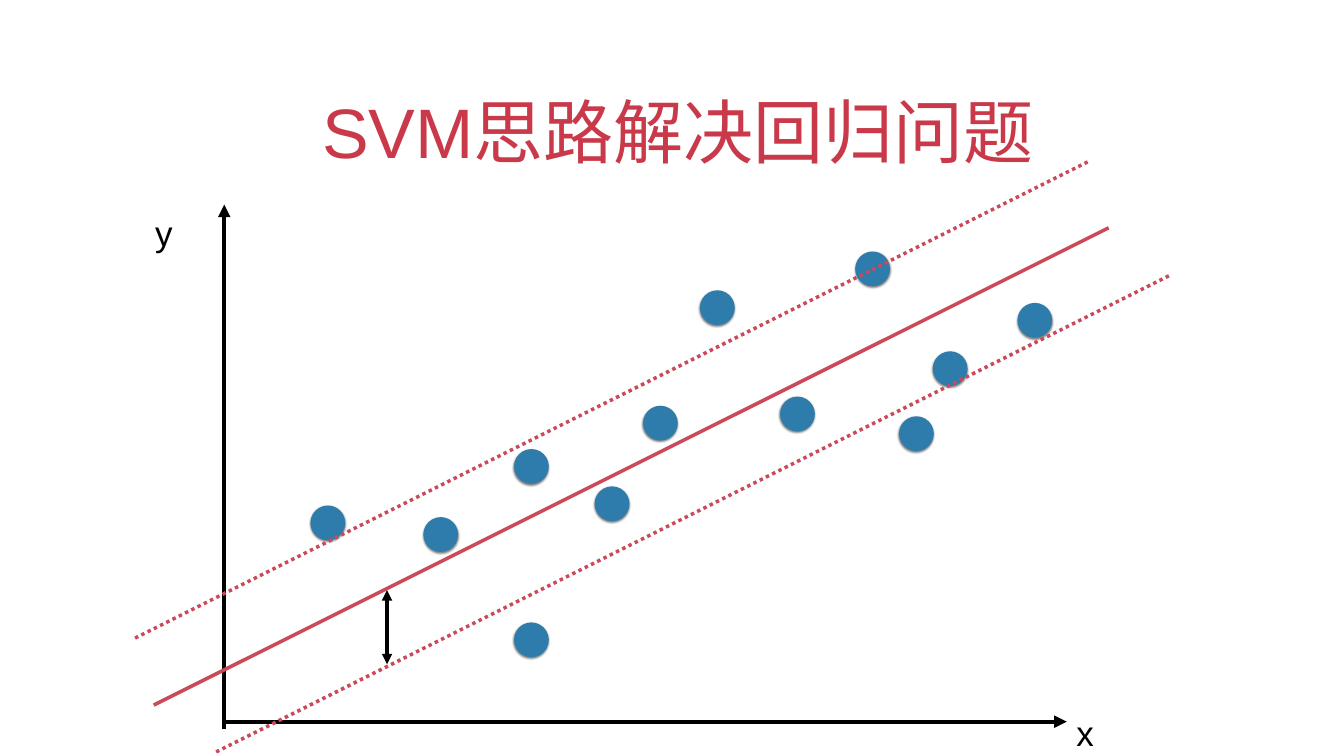
from pptx import Presentation
from pptx.dml.color import RGBColor
from pptx.enum.dml import MSO_LINE
from pptx.enum.shapes import MSO_CONNECTOR, MSO_SHAPE
from pptx.enum.text import MSO_ANCHOR, MSO_AUTO_SIZE, PP_ALIGN
from pptx.oxml import parse_xml
from pptx.oxml.ns import nsdecls
from pptx.util import Inches, Pt

STRAIGHT = MSO_CONNECTOR.STRAIGHT
OVAL = MSO_SHAPE.OVAL
DOTTED = MSO_LINE.ROUND_DOT
MIDDLE, BOTTOM = MSO_ANCHOR.MIDDLE, MSO_ANCHOR.BOTTOM
NO_FIT, GROW = MSO_AUTO_SIZE.NONE, MSO_AUTO_SIZE.SHAPE_TO_FIT_TEXT
CENTER = PP_ALIGN.CENTER

COLORS = {"title": "C9394A", "fit": "CA495A", "dot": "2E7CAC", "ink": "000000"}
FONT = "Arial"
WIDTH, HEIGHT = 26.67, 15
DOT_SIZE = 0.69
FIT_RUN, FIT_RISE = 18.95, 9.47
# Left and top of each sample
SAMPLES = [
    (6.16, 10.03), (8.4, 10.26), (10.2, 8.91), (10.2, 12.35),
    (11.8, 9.65), (12.76, 8.05), (13.89, 5.76), (15.48, 7.87),
    (16.97, 4.99), (17.84, 8.26), (18.51, 6.97), (20.19, 6.01),
]
# Lower left end of each parallel line, and its dash
FIT_LINES = [(3.05, 13.99, None), (2.68, 12.66, DOTTED), (4.29, 14.92, DOTTED)]


def rgb(name):
    return RGBColor.from_string(COLORS[name])


def place(sp, *box):
    sp.left, sp.top, sp.width, sp.height = map(Inches, box)


def set_text(sp, text, size, color, anchor, fit):
    """Write one paragraph with the slide's font and insets; return it."""
    tf = sp.text_frame
    tf.text = text
    tf.word_wrap = True
    tf.auto_size = fit
    tf.vertical_anchor = anchor
    tf.margin_left = tf.margin_right = Inches(0.06)
    tf.margin_top = tf.margin_bottom = Inches(0.06)
    p = tf.paragraphs[0]
    font = p.runs[0].font
    font.name, font.size, font.color.rgb = FONT, Pt(size), rgb(color)
    return p


def add_title(s, text):
    sp = s.shapes.title
    place(sp, 1.94, 1.27, 22.78, 2.22)
    p = set_text(sp, text, 100, "title", BOTTOM, NO_FIT)
    p.alignment = CENTER
    pPr = p._p.get_or_add_pPr()
    pPr.set("marL", "0")
    pPr.set("indent", str(Inches(0.25)))


def add_axis_label(s, text, left, top):
    sp = s.shapes.add_textbox(0, 0, 0, 0)
    p = set_text(sp, text, 50, "ink", MIDDLE, GROW)
    p.line_spacing = 1.5
    place(sp, left, top, 3.88, 0.94)


def add_line(s, start, end, color, width, dash=None, arrows=()):
    """Draw a line; arrows names the ends, headEnd before tailEnd."""
    line = s.shapes.add_connector(STRAIGHT, *map(Inches, (*start, *end)))
    line.line.color.rgb = rgb(color)
    line.line.width = Pt(width)
    if dash:
        line.line.dash_style = dash
    ln = line.line._get_or_add_ln()
    for arrow in arrows:
        ln.append(parse_xml(f'<a:{arrow} {nsdecls("a")} type="triangle"/>'))
    line._element.spPr.append(parse_xml(f'<a:effectLst {nsdecls("a")}/>'))


def add_sample(s, left, top):
    sp = s.shapes.add_shape(OVAL, *map(Inches, (left, top, DOT_SIZE, DOT_SIZE)))
    sp.fill.solid()
    sp.fill.fore_color.rgb = rgb("dot")
    sp.line.fill.background()
    sp.shadow.inherit = False
    sp._element.spPr.remove(sp._element.spPr[-1])
    sp._element.spPr.append(parse_xml(
        f'<a:effectLst {nsdecls("a")}>'
        f'<a:outerShdw blurRad="{Pt(3)}" dist="{Pt(2)}" dir="5400000" rotWithShape="0">'
        f'<a:srgbClr val="{COLORS["ink"]}"><a:alpha val="50000"/></a:srgbClr>'
        '</a:outerShdw></a:effectLst>'))


def main():
    prs = Presentation()
    prs.slide_width, prs.slide_height = Inches(WIDTH), Inches(HEIGHT)
    s = prs.slides.add_slide(prs.slide_layouts[5])

    add_title(s, "SVM思路解决回归问题")
    add_line(s, (4.44, 14.32), (21.17, 14.32), "ink", 6, arrows=["tailEnd"])
    add_line(s, (4.45, 14.46), (4.45, 4.06), "ink", 6, arrows=["tailEnd"])
    add_axis_label(s, "x", 21.3, 13.85)
    add_axis_label(s, "y", 3.02, 3.94)

    for left, top in SAMPLES:
        add_sample(s, left, top)
    for x, y, dash in FIT_LINES:
        add_line(s, (x, y), (x + FIT_RUN, y - FIT_RISE), "fit", 5, dash)
    add_line(s, (7.68, 13.18), (7.68, 11.71), "ink", 5,
             arrows=["headEnd", "tailEnd"])

    prs.save("out.pptx")


if __name__ == "__main__":
    main()
